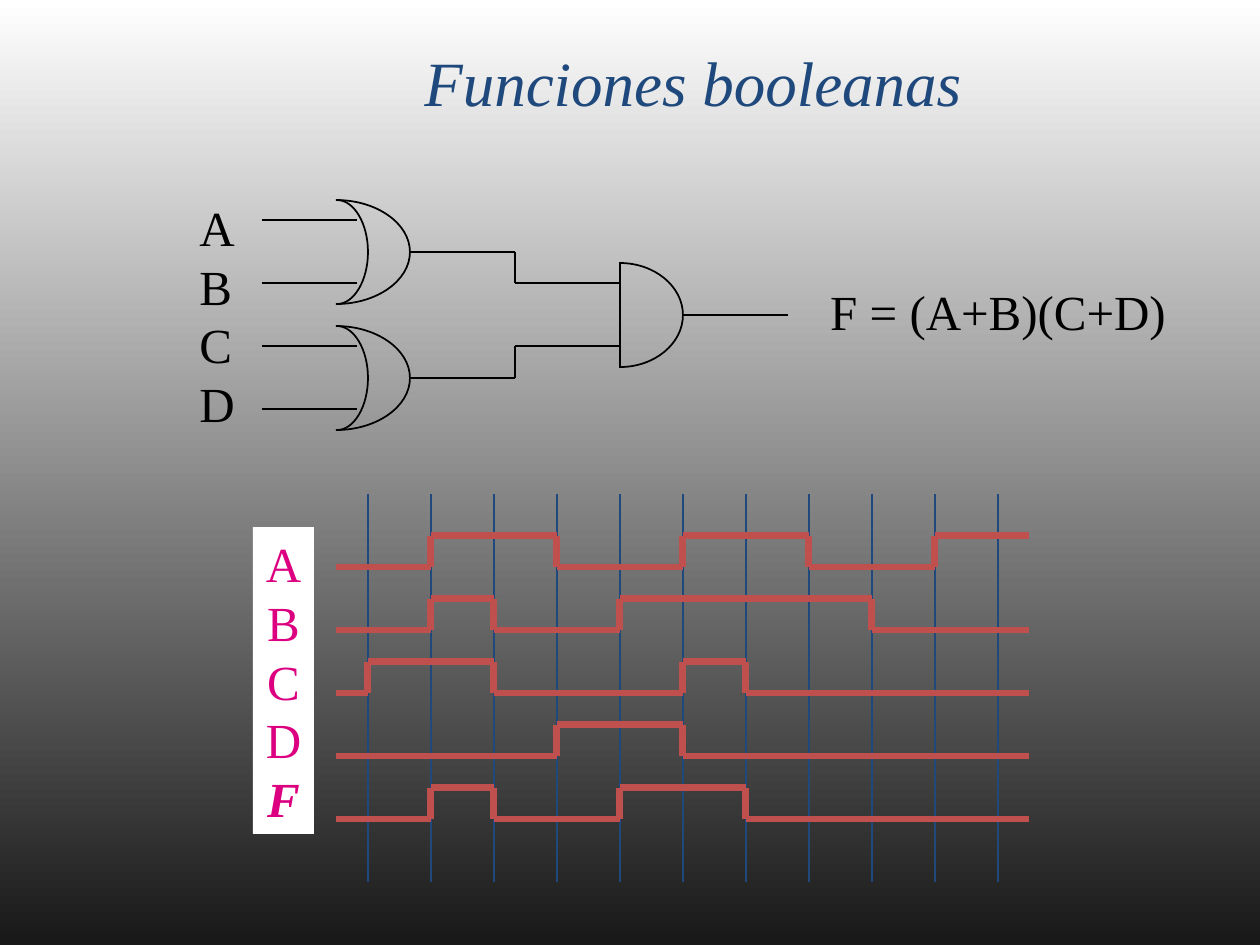
from lxml.etree import Element, SubElement
from pptx import Presentation
from pptx.dml.color import RGBColor
from pptx.enum.shapes import MSO_CONNECTOR as CONN, MSO_SHAPE as SHAPE
from pptx.enum.text import MSO_AUTO_SIZE as AUTO, PP_ALIGN as ALIGN
from pptx.oxml.ns import qn
from pptx.util import Pt

FONT = "Times New Roman"
BLACK, NAVY, RED, PINK, WHITE = "000000", "1F497D", "C0504D", "DC0081", "FFFFFF"
STEP, GRID_X, START_X, END_X = 63, 368, 336, 1029
BASE_Y, PULSE = 567, 31
TOGGLES = {
    "A": [1, 3, 5, 7, 9],
    "B": [1, 2, 4, 8],
    "C": [0, 2, 5, 6],
    "D": [3, 5],
    "F": [1, 2, 4, 6],
}


def px(n):
    """Turn pixels into EMU."""
    return round(n * 914400 / 126)


def rgb(value):
    """Return the colour of a hex string."""
    return RGBColor.from_string(value)


def set_background(s):
    """Fill the slide with a gradient running from top to bottom."""
    fill = s.background.fill
    fill.gradient()
    fill.gradient_angle = 270
    for stop, color, position in zip(fill.gradient_stops, (WHITE, "181818"), (0, 1)):
        stop.color.rgb = rgb(color)
        stop.position = position


def set_text(sp, text, size, color, align=ALIGN.LEFT, italic=None):
    """Write text into a shape that grows with its unwrapped lines."""
    tf = sp.text_frame
    tf.text = text
    tf.word_wrap = False
    tf.auto_size = AUTO.SHAPE_TO_FIT_TEXT
    for p in tf.paragraphs:
        p.alignment = align
        for r in p.runs:
            r.font.name, r.font.size, r.font.italic = FONT, Pt(size), italic
            r.font.color.rgb = rgb(color)


def add_text(s, box, *style, **options):
    """Add a text box."""
    sp = s.shapes.add_textbox(*map(px, box))
    set_text(sp, *style, **options)


def add_path(shapes, points, color=BLACK, width=1):
    """Join neighbouring points with straight lines."""
    for start, end in zip(points, points[1:]):
        line = shapes.add_connector(CONN.STRAIGHT, *map(px, start + end))
        line.line.color.rgb = rgb(color)
        line.line.width = Pt(width)
        SubElement(line._element.spPr, qn("a:effectLst"))


def bend(segment, controls):
    """Turn a straight outline segment into a curve with two control points."""
    segment.tag = qn("a:cubicBezTo")
    for i, (x, y) in enumerate(controls):
        segment.insert(i, Element(qn("a:pt"), x=str(px(x)), y=str(px(y))))


def add_arc(shapes, x, y, rx, ry=52):
    """Draw the right half of an ellipse centred at x, y."""
    builder = shapes.build_freeform(px(x), px(y - ry))
    ends = [(px(x + rx), px(y)), (px(x), px(y + ry))]
    builder.add_line_segments(ends, close=False)
    sp = builder.convert_to_shape()
    k = 0.55
    controls = [
        [(k * rx, 0), (rx, ry - k * ry)],
        [(rx, ry + k * ry), (k * rx, 2 * ry)],
    ]
    for segment, pair in zip(list(sp._element.iter(qn("a:lnTo"))), controls):
        bend(segment, pair)
    sp.shadow.inherit = False
    sp.fill.background()
    sp.line.color.rgb = rgb(BLACK)
    sp.line.width = Pt(1)


def add_or_gate(shapes, y, joint_y):
    """Draw an OR gate with two inputs and a wire to the AND gate."""
    add_arc(shapes, 336, y, 74)
    add_arc(shapes, 337, y, 31)
    for input_y in (y - 32, y + 31):
        add_path(shapes, [(262, input_y), (357, input_y)])
    add_path(shapes, [(410, y), (515, y), (515, joint_y), (620, joint_y)])


def add_circuit(s):
    """Draw the three gates of the circuit."""
    shapes = s.shapes.add_group_shape().shapes
    add_arc(shapes, 620, 315, 63)
    add_path(shapes, [(620, 262), (620, 368)])
    add_path(shapes, [(683, 315), (788, 315)])
    add_or_gate(shapes, 378, 346)
    add_or_gate(shapes, 252, 283)


def add_signal(shapes, low_y, toggles):
    """Draw a signal that starts low and flips at each grid index."""
    y, points = low_y, [(START_X, low_y)]
    for index in toggles:
        x = GRID_X + STEP * index
        points.append((x, y))
        y = 2 * low_y - PULSE - y
        points.append((x, y))
    add_path(shapes, points + [(END_X, y)], RED, 4)


def add_timing(s):
    """Draw the timing diagram with its labels and grid."""
    shapes = s.shapes.add_group_shape().shapes
    sp = shapes.add_shape(SHAPE.RECTANGLE, *map(px, (253, 527, 61, 307)))
    sp.shadow.inherit = False
    sp.fill.solid()
    sp.fill.fore_color.rgb = rgb(WHITE)
    sp.line.fill.background()
    set_text(sp, "A\nB\vC\vD\vF", 28, PINK, ALIGN.CENTER)
    font = sp.text_frame.paragraphs[-1].runs[-1].font
    font.bold = font.italic = True
    for i in range(11):
        x = GRID_X + STEP * i
        add_path(shapes, [(x, 494), (x, 882)], NAVY)
    for row, toggles in enumerate(TOGGLES.values()):
        add_signal(shapes, BASE_Y + STEP * row, toggles)


def main():
    """Build the slide and save it."""
    prs = Presentation()
    prs.slide_width, prs.slide_height = px(1260), px(945)
    s = prs.slides.add_slide(prs.slide_layouts[6])
    set_background(s)
    add_text(s, (817, 275, 362, 72), "F = (A+B)(C+D)", 28, BLACK, ALIGN.CENTER)
    add_text(s, (412, 37, 563, 88), "Funciones booleanas", 36, NAVY, italic=True)
    add_circuit(s)
    add_text(s, (187, 191, 60, 248), "A\nB\nC\nD", 28, BLACK)
    add_timing(s)
    prs.save("out.pptx")


if __name__ == "__main__":
    main()
